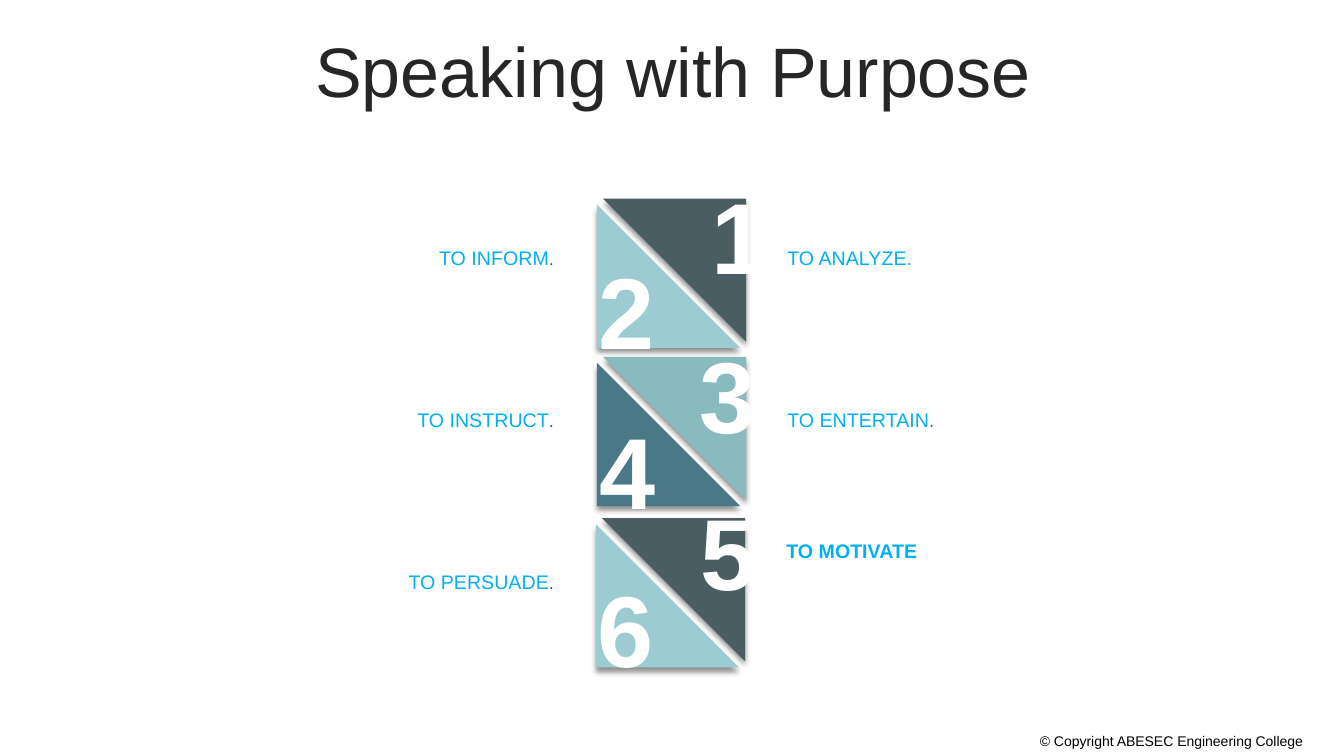
import pptx
import pptx.util
import pptx.dml.color
import pptx.enum.shapes
import pptx.enum.text
import pptx.oxml

RGB = pptx.dml.color.RGBColor
ALIGN = pptx.enum.text.PP_ALIGN
ANCHOR = pptx.enum.text.MSO_ANCHOR

PALE = RGB(0x9C, 0xCC, 0xD2)
SLATE = RGB(0x4A, 0x5D, 0x62)
TEAL = RGB(0x4A, 0x78, 0x86)
SEA = RGB(0x88, 0xBA, 0xBE)
SKY = RGB(0x00, 0xB0, 0xF0)
GREY = RGB(0x40, 0x40, 0x40)
INK = RGB(0x26, 0x26, 0x26)
BLACK = RGB(0, 0, 0)
WHITE = RGB(255, 255, 255)

TITLE = "Speaking with Purpose"
COPYRIGHT = "© Copyright ABESEC Engineering College"

# left, top, lower-left colour, upper-right colour
SQUARES = [
    (592, 197, PALE, SLATE),
    (592, 354, TEAL, SEA),
    (591, 514, PALE, SLATE),
]
# digit, left, top
DIGITS = [
    ("1", 694, 167), ("2", 582, 242),
    ("3", 682, 325), ("4", 583, 401),
    ("5", 683, 481), ("6", 581, 557),
]
# purpose, grey full stop, bold, left, top, alignment
PURPOSES = [
    ("TO INFORM", ".", False, 154, 239, ALIGN.RIGHT),
    ("TO INSTRUCT", ".", False, 154, 400, ALIGN.RIGHT),
    ("TO PERSUADE", ".", False, 154, 560, ALIGN.RIGHT),
    ("TO ANALYZE.", "", False, 771, 239, ALIGN.LEFT),
    ("TO ENTERTAIN", ".", False, 771, 400, ALIGN.LEFT),
    ("TO MOTIVATE", "", True, 770, 530, ALIGN.LEFT),
]
TRIANGLE = 142
OFFSET = 6  # shift between the two triangles of a square

SHADOW = (
    '<a:effectLst xmlns:a="http://schemas.openxmlformats.org/drawingml/2006/main">'
    '<a:outerShdw blurRad="50800" dist="38100" dir="5400000" algn="t" rotWithShape="0">'
    '<a:srgbClr val="000000"><a:alpha val="43000"/></a:srgbClr>'
    '</a:outerShdw></a:effectLst>'
)


def px(n):
    """Convert px, 100 to the inch, to EMU."""
    return pptx.util.Emu(n * 9144)


def add_text(slide, box, runs, align, anchor=ANCHOR.TOP, inset=10, spacing=None):
    """Add one paragraph; runs are (text, size, colour, bold)."""
    frame = slide.shapes.add_textbox(*map(px, box)).text_frame
    frame.word_wrap = True
    frame.vertical_anchor = anchor
    frame.margin_left = frame.margin_right = px(inset)
    paragraph = frame.paragraphs[0]
    paragraph.alignment = align
    if spacing:
        paragraph.line_spacing = spacing
    for text, size, colour, bold in runs:
        run = paragraph.add_run()
        run.text = text
        run.font.name = "Arial"
        run.font.size = pptx.util.Pt(size)
        run.font.color.rgb = colour
        run.font.bold = bold


def add_triangle(slide, left, top, colour, rotation):
    triangle = slide.shapes.add_shape(
        pptx.enum.shapes.MSO_SHAPE.RIGHT_TRIANGLE,
        px(left), px(top), px(TRIANGLE), px(TRIANGLE))
    triangle.rotation = rotation
    triangle.fill.solid()
    triangle.fill.fore_color.rgb = colour
    triangle.line.fill.background()
    triangle._element.spPr.append(pptx.oxml.parse_xml(SHADOW))


def main():
    deck = pptx.Presentation()
    deck.slide_width, deck.slide_height = px(1333), px(750)
    slide = deck.slides.add_slide(deck.slide_layouts[6])

    add_text(slide, (2, 722, 1300, 27), [(COPYRIGHT, 10, BLACK, False)], ALIGN.RIGHT)
    add_text(slide, (35, 37, 1266, 79), [(TITLE, 50, INK, False)],
             ALIGN.CENTER, ANCHOR.MIDDLE, spacing=0.8)

    for left, top, lower, upper in SQUARES:
        add_triangle(slide, left, top + OFFSET, lower, 0)
        add_triangle(slide, left + OFFSET, top, upper, 180)

    for digit, left, top in DIGITS:
        add_text(slide, (left, top, 67, 131), [(digit, 72, WHITE, True)],
                 ALIGN.CENTER, inset=12)

    for purpose, stop, bold, left, top, align in PURPOSES:
        runs = [(purpose, 14, SKY, bold)]
        if stop:
            runs.append((stop, 12, GREY, False))
        add_text(slide, (left, top, 405, 34), runs, align)

    deck.save("out.pptx")


if __name__ == "__main__":
    main()
